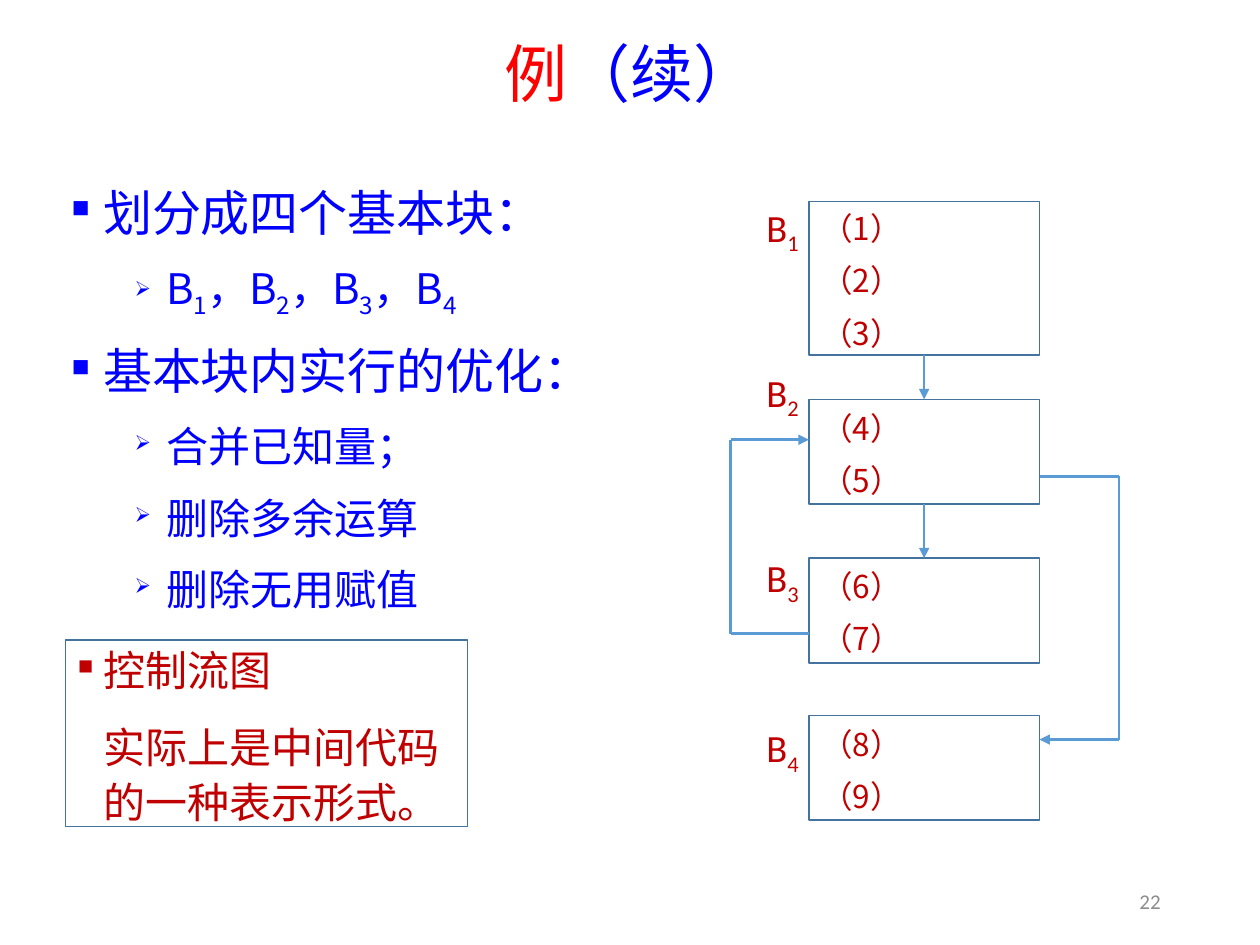
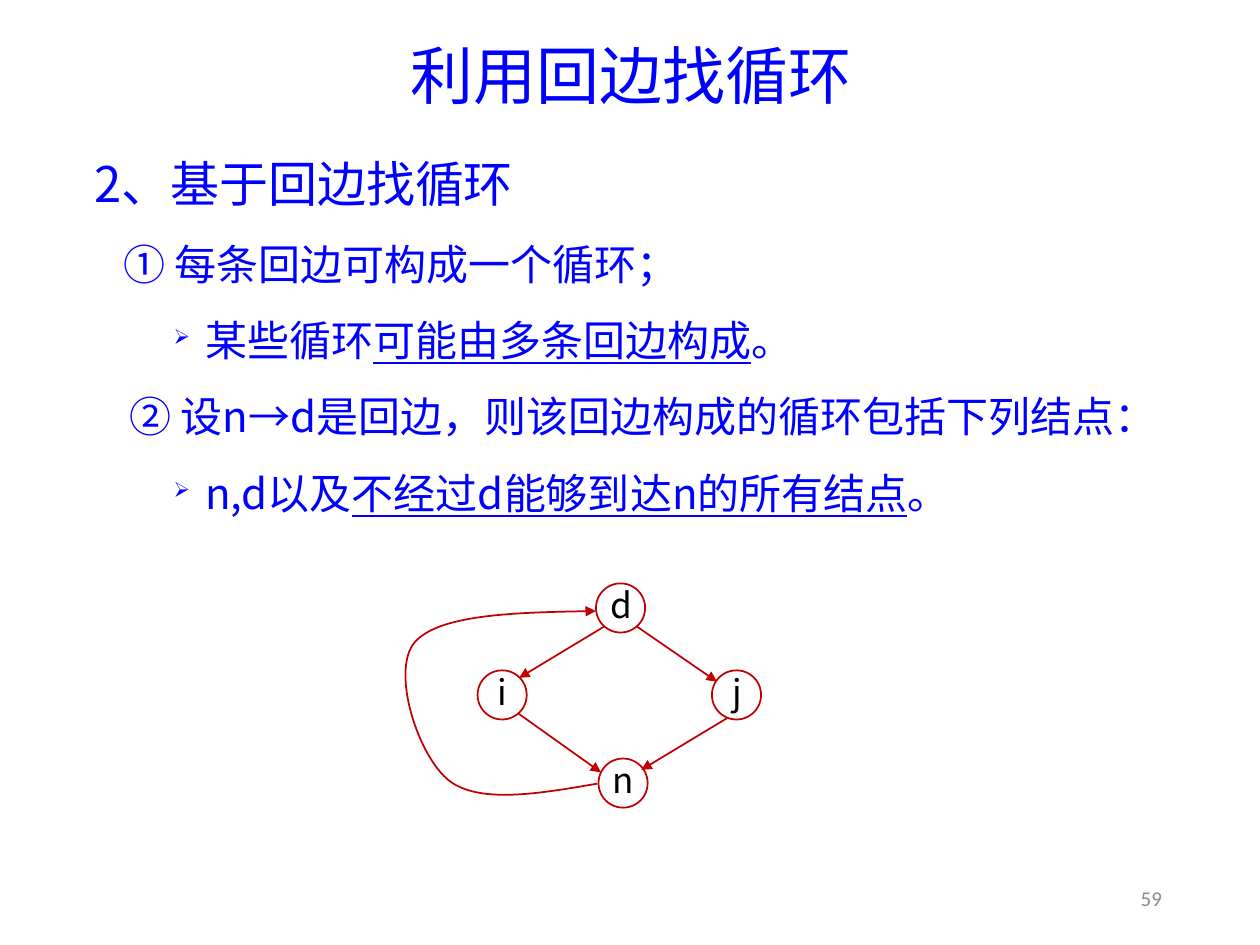
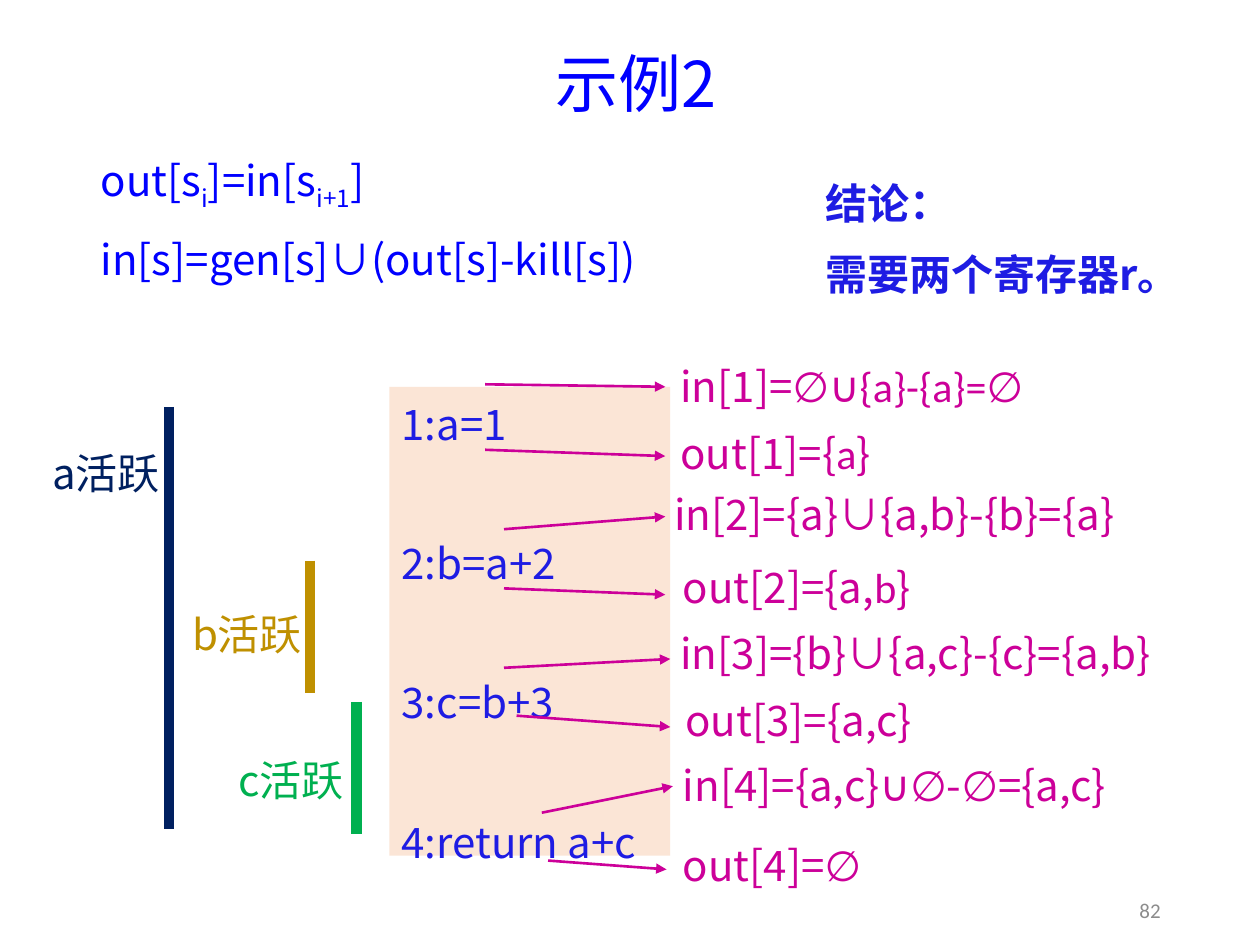
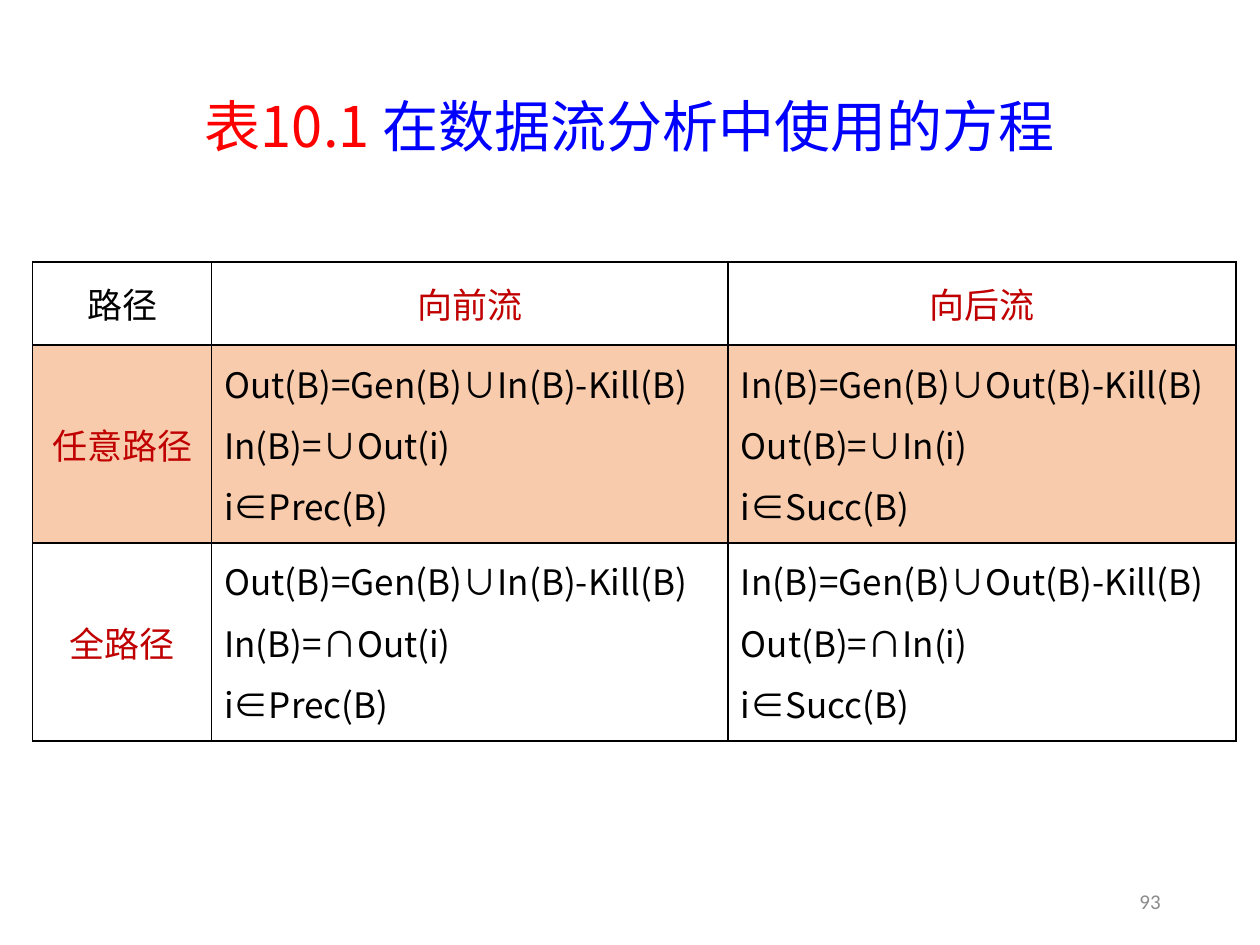
from itertools import pairwise

from lxml import etree
from pptx import Presentation
from pptx.dml.color import RGBColor
from pptx.enum import shapes, text
from pptx.oxml.ns import qn
from pptx.util import Inches, Pt

HUES = {
    "blue": "0000FF", "red": "FF0000", "dark": "C00000", "black": "000000",
    "gray": "8C8C8C", "frame": "43739E", "arrow": "5B9BD5", "code": "1E1CE3",
    "pink": "CC0099", "cream": "FBE5D6", "peach": "F8CBAD",
    "navy": "002060", "gold": "BF9000", "green": "00B050",
}
RGB = {name: RGBColor.from_string(hue) for name, hue in HUES.items()}
HAN, HEAD, LATIN = "Noto Sans CJK SC", "Noto Sans CJK JP", "Calibri"
LEFT, MID, RIGHT = text.PP_ALIGN.LEFT, text.PP_ALIGN.CENTER, text.PP_ALIGN.RIGHT
TOP, CORE = text.MSO_ANCHOR.TOP, text.MSO_ANCHOR.MIDDLE
RECT, OVAL = shapes.MSO_SHAPE.RECTANGLE, shapes.MSO_SHAPE.OVAL
LINE = shapes.MSO_CONNECTOR.STRAIGHT


def say(frame, lines, size, hue, face=HAN, alt="sub", align=LEFT, anchor=TOP, pad=None,
        space=1.0, before=0, after=0, left=0, first=0, bullet=None, bold=None):
    """Add paragraphs; the parts between two ~ marks take the alt look."""
    frame.word_wrap = True
    frame.vertical_anchor = anchor
    if pad is not None:
        frame.margin_left = frame.margin_right = frame.margin_top = frame.margin_bottom = pad
    for line in lines:
        para = frame.paragraphs[0]
        if para.runs:
            para = frame.add_paragraph()
        para.alignment, para.line_spacing = align, space
        para.space_before, para.space_after = Pt(before), Pt(after)
        props = para._p.get_or_add_pPr()
        props.set("marL", str(Inches(left)))
        props.set("indent", str(Inches(first)))
        if bullet:
            etree.SubElement(props, qn("a:buSzPct"), val="50000")
            etree.SubElement(props, qn("a:buChar"), char=bullet)
        para.font.size, para.font.bold = Pt(size), bold
        para.font.color.rgb = RGB[hue]
        faces = [(para.font, face)]
        for num, part in enumerate(line.split("~")):
            if not part:
                continue
            run = para.add_run()
            run.text = part
            if num % 2 == 0:
                continue
            if alt == "sub":
                run.font._rPr.set("baseline", "-25000")
            elif alt == "line":
                run.font.underline = True
            elif alt == "latin":
                faces.append((run.font, LATIN))
            else:
                run.font.color.rgb = RGB[alt]
        for font, name in faces:
            font.name = name
            etree.SubElement(font._rPr, qn("a:ea"), typeface=name)


def ink(mark, hue, width=1.0, tip=False):
    """Outline a shape or line without shadow, with an arrowhead if asked."""
    mark.line.color.rgb = RGB[hue]
    mark.line.width = Pt(width)
    props = mark._element.spPr
    if tip:
        etree.SubElement(props.find(qn("a:ln")), qn("a:tailEnd"), type="triangle")
    etree.SubElement(props, qn("a:effectLst"))


deck = Presentation()
deck.slide_width, deck.slide_height = Inches(10), Inches(7.5)

# Titles and page numbers
heads = [
    ("~例~（续）", 36, (0.69, 0.21, 8.62, 0.81), "22", (7.06, 6.95, 2.25, 0.4)),
    ("利用回边找循环", 36, (0.7, 0.25, 8.62, 0.76), "59", (8.82, 6.95, 0.5, 0.35)),
    ("示例2", 36, (0.74, 0.23, 8.62, 0.93), "82", (8.8, 6.95, 0.51, 0.55)),
    ("~表10.1 ~在数据流分析中使用的方程", 32, (0.69, 0.53, 8.62, 1), "93",
     (7.06, 6.95, 2.25, 0.4)),
]
trees = []
for title, size, spot, page, foot in heads:
    tree = deck.slides.add_slide(deck.slide_layouts[6]).shapes
    say(tree.add_textbox(*map(Inches, spot)).text_frame, [title], size, "blue", HEAD,
        alt="red", align=MID, anchor=CORE, space=0.9)
    say(tree.add_textbox(*map(Inches, foot)).text_frame, [page], 12, "gray", LATIN,
        align=RIGHT, anchor=CORE)
    trees.append(tree)
flow, loop, live, sums = trees

# Slide 1: outline
body = flow.add_textbox(*map(Inches, (0.47, 1.4, 4.55, 3.66))).text_frame
for head, items in [
    ("划分成四个基本块：", ["B~1~，B~2~，B~3~，B~4~"]),
    ("基本块内实行的优化：", ["合并已知量；", "删除多余运算", "删除无用赋值"]),
]:
    say(body, [head], 28, "blue", before=6, after=6, left=0.25, first=-0.25, bullet="■")
    say(body, items, 24, "blue", before=6, after=6, left=0.75, first=-0.25, bullet="➢")

# Slide 1: framed note
note = flow.add_shape(RECT, *map(Inches, (0.52, 5.08, 3.19, 1.48)))
note.fill.background()
ink(note, "frame")
for line, first, bullet in [("控制流图", -0.2, "■"),
                            ("实际上是中间代码的一种表示形式。", 0, None)]:
    say(note.text_frame, [line], 24, "dark", anchor=CORE, space=1.1, before=6, after=6,
        left=0.2, first=first, bullet=bullet)

# Slide 1: basic blocks with their labels
blocks = []
for num, (top, high, tag, steps) in enumerate([
    (1.6, 1.22, 1.62, "123"), (3.17, 0.83, 2.93, "45"),
    (4.43, 0.83, 4.4, "67"), (5.68, 0.83, 5.75, "89"),
], 1):
    block = flow.add_shape(RECT, *map(Inches, (6.42, top, 1.83, high)))
    block.fill.background()
    ink(block, "frame")
    say(block.text_frame, [f"（{step}）" for step in steps], 18, "dark", anchor=CORE,
        space=1.1, after=6)
    label = flow.add_textbox(*map(Inches, (5.9, tag, 0.62, 0.41)))
    say(label.text_frame, [f"B~{num}~"], 22, "dark", LATIN, align=MID, anchor=CORE)
    blocks.append(block)

# Slide 1: straight flow, then the two jumps
for one, two in pairwise(blocks[:3]):
    wire = flow.add_connector(LINE, 0, 0, 0, 0)
    wire.begin_connect(one, 2)
    wire.end_connect(two, 0)
    ink(wire, "arrow", 1.5, True)
for jump in [
    [(6.42, 5.03), (5.8, 5.03), (5.8, 3.49), (6.42, 3.49)],
    [(8.25, 3.78), (8.88, 3.78), (8.88, 5.87), (8.25, 5.87)],
]:
    for start, end in pairwise(jump):
        wire = flow.add_connector(LINE, *map(Inches, start + end))
        ink(wire, "arrow", 1.5, end == jump[-1])

# Slide 2: outline
body = loop.add_textbox(*map(Inches, (0.65, 1.12, 8.88, 3.25))).text_frame
for line, size, left, first, bullet in [
    ("2、基于回边找循环", 28, 0.25, -0.25, None),
    ("① 每条回边可构成一个循环；", 24, 0.48, -0.25, None),
    ("某些循环~可能由多条回边构成~。", 24, 0.88, -0.25, "➢"),
    ("② 设n→d是回边，则该回边构成的循环包括下列结点：", 24, 0.68, -0.4, None),
    ("n,d以及~不经过d能够到达n的所有结点~。", 24, 0.88, -0.25, "➢"),
]:
    say(body, [line], size, "blue", alt="line", space=1.1, before=6, after=6,
        left=left, first=first, bullet=bullet)

# Slide 2: graph nodes and edges
for name, x, y in [("d", 4.73, 4.63), ("n", 4.75, 6.02), ("i", 3.79, 5.32), ("j", 5.65, 5.32)]:
    node = loop.add_shape(OVAL, *map(Inches, (x, y, 0.39, 0.39)))
    node.fill.background()
    ink(node, "dark")
    label = loop.add_textbox(*map(Inches, (x - 0.04, y, 0.48, 0.34)))
    say(label.text_frame, [name], 20, "black", align=MID, anchor=CORE)
for ends in [(4.8, 4.97, 4.12, 5.38), (4.11, 5.66, 4.77, 6.13),
             (5.05, 4.97, 5.69, 5.41), (5.77, 5.7, 5.09, 6.11)]:
    ink(loop.add_connector(LINE, *map(Inches, ends)), "dark", 1, True)

# Slide 2: curved back edge, three points to each Bezier piece
pen = loop.build_freeform(Inches(4.74), Inches(6.22))
pen.add_line_segments([(Inches(x), Inches(y)) for x, y in [
    (4.28, 6.3), (3.81, 6.38), (3.57, 6.2),
    (3.32, 6.01), (3.1, 5.33), (3.29, 5.1),
    (3.48, 4.88), (4.11, 4.86), (4.73, 4.85),
]], close=False)
back = pen.convert_to_shape()
back.fill.background()
ink(back, "dark", 1, True)
track = back._element.find(".//" + qn("a:path"))
legs = track.findall(qn("a:lnTo"))
for num in range(0, len(legs), 3):
    curve = etree.SubElement(track, qn("a:cubicBezTo"))
    for leg in legs[num:num + 3]:
        curve.append(leg[0])
        track.remove(leg)

# Slide 3: equations, conclusion and code
body = live.add_textbox(*map(Inches, (0.7, 1.18, 5.37, 1.34))).text_frame
say(body, ["out[s~i~]=in[s~i+1~]", "in[s]=gen[s]∪(out[s]-kill[s])"], 24, "blue",
    before=6, after=6, left=0.25, first=-0.25)
end = live.add_textbox(*map(Inches, (6.55, 1.33, 2.93, 1.14))).text_frame
say(end, ["结论：", "需要两个寄存器r。"], 24, "code", pad=0, space=1.2, after=6, bold=True)
code = live.add_shape(RECT, *map(Inches, (3.09, 3.07, 2.23, 3.72)))
code.shadow.inherit = False
code.fill.solid()
code.fill.fore_color.rgb = RGB["cream"]
code.line.fill.background()
say(code.text_frame, ["1:a=1", "2:b=a+2", "3:c=b+3", "4:return a+c"], 24, "code",
    space=1.1, before=6, after=42)

# Slide 3: in and out sets with their arrows
for line, x, y, wide, ends in [
    ("in[1]=~∅∪{a}-{a}=∅~", 5.4, 2.86, 3.48, (3.85, 3.05, 5.28, 3.07)),
    ("out[1]={~a~}", 5.4, 3.39, 2.31, (3.85, 3.57, 5.28, 3.62)),
    ("in[2]={a}∪{a,b}-{b}={a}", 5.35, 3.88, 3.9, (4, 4.2, 5.28, 4.1)),
    ("out[2]={a,~b~}", 5.42, 4.46, 2.31, (4, 4.67, 5.28, 4.72)),
    ("in[3]={b}∪{a,c}-{c}={a,b}", 5.4, 4.98, 4.37, (4, 5.3, 5.32, 5.23)),
    ("out[3]={a,c}", 5.44, 5.51, 2.31, (4.1, 5.68, 5.32, 5.77)),
    ("in[4]={a,c}~∪∅~-~∅~={a,c}", 5.42, 6.03, 3.88, (4.3, 6.45, 5.34, 6.24)),
    ("out[4]=~∅~", 5.42, 6.66, 2.31, (4.35, 6.83, 5.29, 6.9)),
]:
    label = live.add_textbox(*map(Inches, (x, y, wide, 0.42)))
    say(label.text_frame, [line], 24, "pink", alt="latin", pad=0)
    ink(live.add_connector(LINE, *map(Inches, ends)), "pink", 1.5, True)

# Slide 3: live ranges
for name, hue, x, top, low, left, y in [
    ("a", "navy", 1.34, 3.23, 6.58, 0.25, 3.55),
    ("b", "gold", 2.46, 4.45, 5.5, 1.37, 4.83),
    ("c", "green", 2.83, 5.57, 6.62, 1.72, 5.99),
]:
    ink(live.add_connector(LINE, *map(Inches, (x, top, x, low))), hue, 6)
    label = live.add_textbox(*map(Inches, (left, y, 1.18, 0.42)))
    say(label.text_frame, [f"{name}活跃"], 24, hue, align=MID, pad=0)

# Slide 4: table of equations
rows = [["路径", "向前流", "向后流"]]
for way, sign in [("任意路径", "∪"), ("全路径", "∩")]:
    rows.append([
        way,
        f"Out(B)=Gen(B)∪In(B)-Kill(B)\nIn(B)={sign}Out(i)\ni∈Prec(B)",
        f"In(B)=Gen(B)∪Out(B)-Kill(B)\nOut(B)={sign}In(i)\ni∈Succ(B)",
    ])
grid = sums.add_table(3, 3, *map(Inches, (0.26, 2.08, 9.55, 3.8))).table
grid.first_row = grid.horz_banding = False
for col, wide in zip(grid.columns, (1.42, 4.1, 4.03)):
    col.width = Inches(wide)
for row, high in zip(grid.rows, (0.66, 1.57, 1.57)):
    row.height = Inches(high)
for r, row in enumerate(rows):
    for c, words in enumerate(row):
        cell = grid.cell(r, c)
        cell.vertical_anchor = CORE
        props = cell._tc.get_or_add_tcPr()
        for side in ("lnL", "lnR", "lnT", "lnB"):
            edge = etree.SubElement(props, qn(f"a:{side}"), w=str(Pt(1)))
            paint = etree.SubElement(edge, qn("a:solidFill"))
            etree.SubElement(paint, qn("a:srgbClr"), val=HUES["black"])
        if r == 1:
            cell.fill.solid()
            cell.fill.fore_color.rgb = RGB["peach"]
        else:
            cell.fill.background()
        head = r == 0 or c == 0
        say(cell.text_frame, words.split("\n"), 20,
            "dark" if head and r + c else "black",
            align=MID if head else LEFT, anchor=CORE, after=0 if head else 6)

deck.save("out.pptx")
